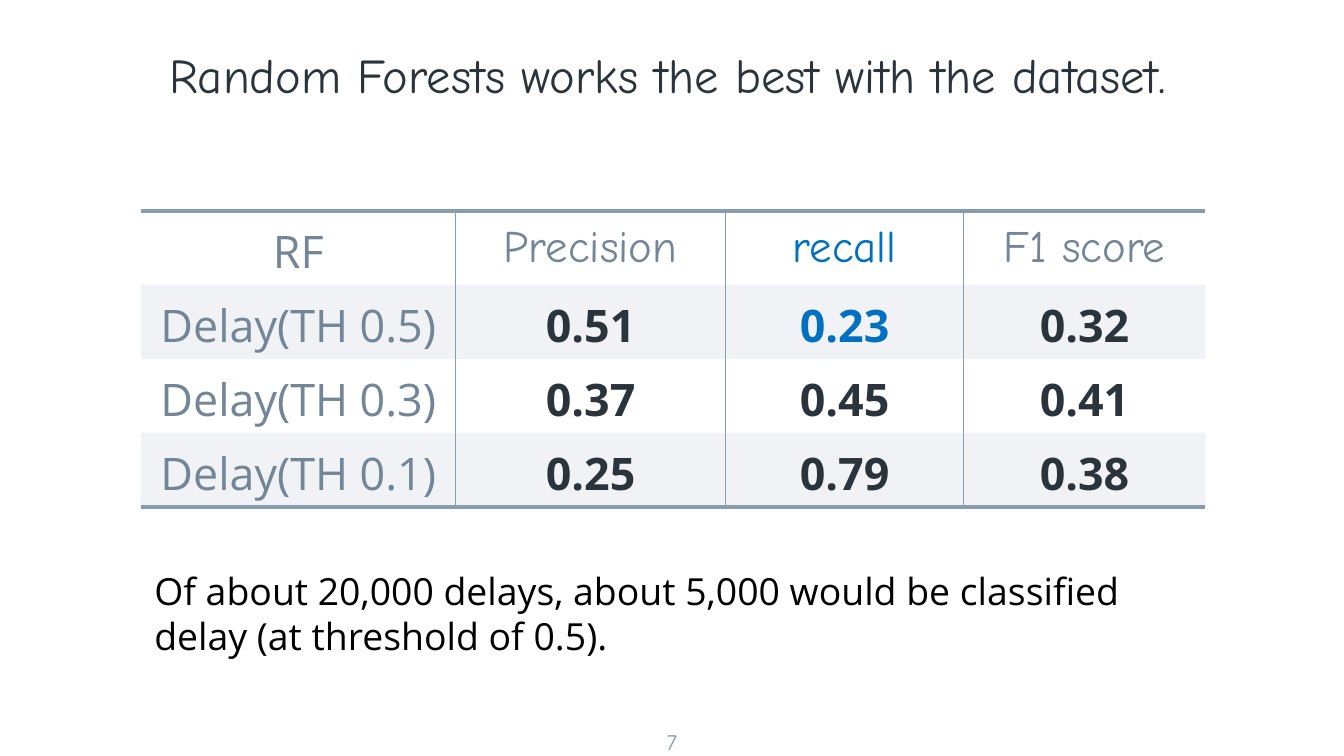
from lxml.etree import SubElement
from pptx import Presentation
from pptx.dml.color import RGBColor
from pptx.enum.text import MSO_ANCHOR, PP_ALIGN
from pptx.oxml.ns import qn
from pptx.util import Inches, Pt

WIDE = 10
HIGH = WIDE * 9 / 16
DARK, GREY, STEEL, BLUE = "2C343B", "738697", "859CB1", "0070C0"
HAND, SANS = "Comic Neue", "Open Sans"


def color(code):
    return RGBColor.from_string(code)


def write(frame, text, size, font, code, bold=False, align=PP_ALIGN.CENTER):
    para = frame.paragraphs[0]
    para.alignment = align
    run = para.add_run()
    run.text = text
    run.font.size, run.font.name, run.font.bold = Pt(size), font, bold
    run.font.color.rgb = color(code)


def label(slide, box, text, size, font, code, pad=0.1,
          anchor=MSO_ANCHOR.TOP, align=PP_ALIGN.CENTER):
    frame = slide.shapes.add_textbox(*map(Inches, box)).text_frame
    frame.word_wrap = True
    frame.vertical_anchor = anchor
    frame.margin_top = frame.margin_bottom = Inches(pad)
    write(frame, text, size, font, code, align=align)


def edge(cell, place, side, width):
    """Draw one cell border; zero width means none."""
    line = cell._tc.get_or_add_tcPr().makeelement(qn("a:ln" + side), {})
    cell._tc.tcPr.insert(place, line)
    if width:
        line.set("w", str(Pt(width)))
        fill = SubElement(line, qn("a:solidFill"))
        SubElement(fill, qn("a:srgbClr"), val=STEEL)
    else:
        SubElement(line, qn("a:noFill"))


def tint(cell, code, share):
    cell.fill.solid()
    cell.fill.fore_color.rgb = color(code)
    tone = cell._tc.tcPr.find(".//" + qn("a:srgbClr"))
    SubElement(tone, qn("a:alpha"), val=str(share * 1000))


def look(row, col, focus):
    """Font, colour and weight of a cell."""
    font = HAND if row == 0 and col else SANS
    code = GREY if row == 0 or col == 0 else DARK
    if (row, col) in focus:
        code = BLUE
    return font, code, row > 0 and col > 0


def scores(slide, box, data, widths, focus):
    rows, cols = len(data), len(data[0])
    table = slide.shapes.add_table(rows, cols, *map(Inches, box)).table
    table.first_row = table.horz_banding = False
    for col, width in zip(table.columns, widths):
        col.width = Inches(box[2] * width / sum(widths))
    for r, line in enumerate(data):
        for c, text in enumerate(line):
            cell = table.cell(r, c)
            cell.vertical_anchor = MSO_ANCHOR.MIDDLE
            cell.margin_top = cell.margin_bottom = Inches(0.07)
            write(cell.text_frame, text, 24, *look(r, c, focus))
            # Odd rows are tinted
            if r % 2:
                tint(cell, STEEL, 12)
            else:
                cell.fill.background()
            # Thin rules between columns, thick ones above and below
            sides = {"L": 0.75 * (c > 0), "R": 0.75 * (c < cols - 1),
                     "T": 2.25 * (r == 0), "B": 2.25 * (r == rows - 1)}
            for place, (side, width) in enumerate(sides.items()):
                edge(cell, place, side, width)


deck = Presentation()
deck.slide_width, deck.slide_height = Inches(WIDE), Inches(HIGH)
slide = deck.slides.add_slide(deck.slide_layouts[6])

# Title
label(slide, (0.27, 0.08, 9.41, 0.94),
      "Random Forests works the best with the dataset.",
      26, HAND, DARK, anchor=MSO_ANCHOR.MIDDLE)

# Page number, centred at the foot
label(slide, (WIDE / 2 - 0.3, HIGH - 0.31, 0.6, 0.31), "7", 12, HAND, STEEL)

# Score table
scores(slide, (1.05, 1.57, 7.92, 2.2), [
    ("RF", "Precision", "recall", "F1 score"),
    ("Delay(TH 0.5)", "0.51", "0.23", "0.32"),
    ("Delay(TH 0.3)", "0.37", "0.45", "0.41"),
    ("Delay(TH 0.1)", "0.25", "0.79", "0.38"),
], (2.34, 2.01, 1.77, 1.8), {(0, 2), (1, 2)})

# Remark
label(slide, (1.05, 4.18, 7.86, 0.6),
      "Of about 20,000 delays, about 5,000 would be classified "
      "delay (at threshold of 0.5).",
      20, SANS, "000000", pad=0.05, align=PP_ALIGN.LEFT)

deck.save("out.pptx")
